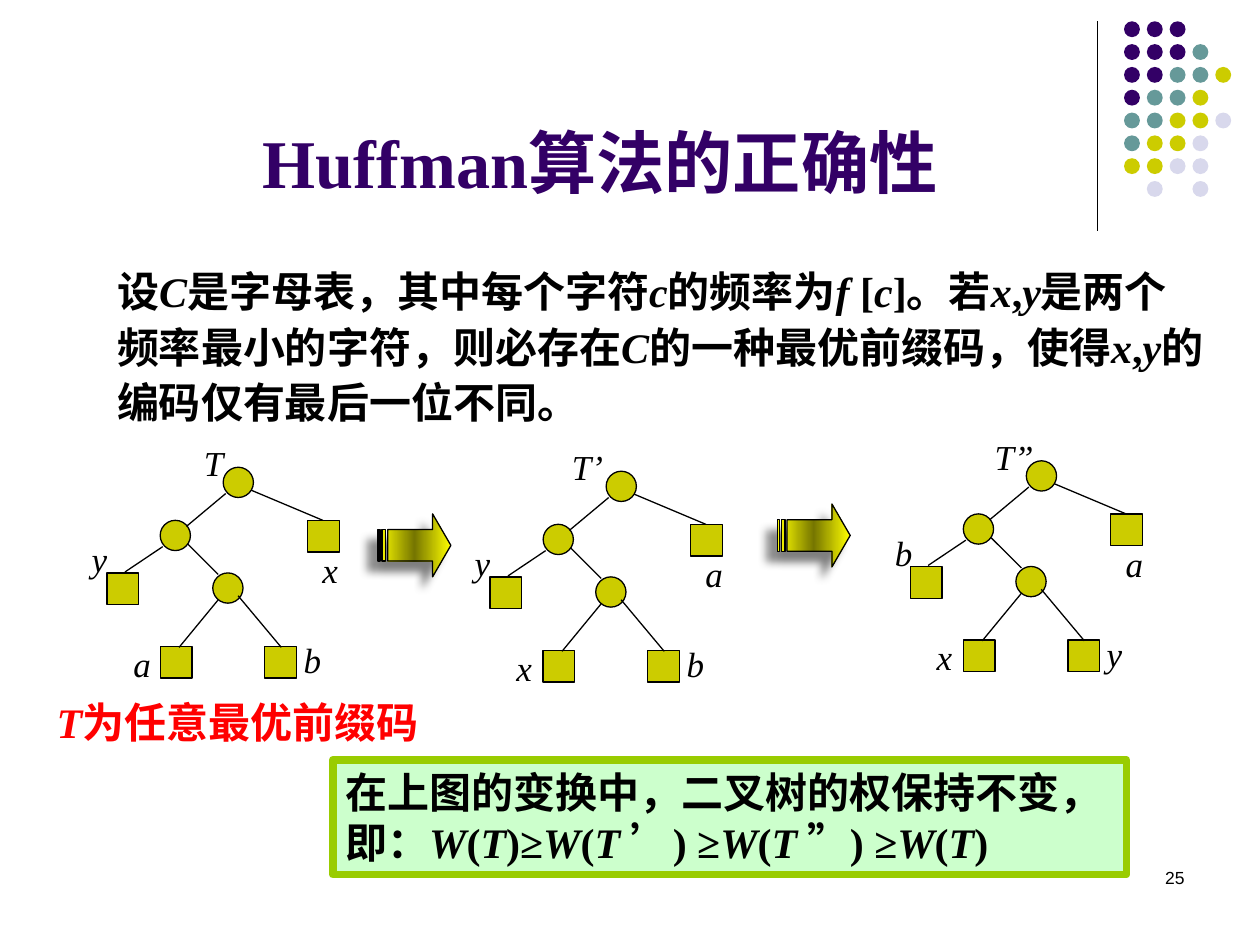
from lxml import etree
from pptx import Presentation
from pptx.dml.color import RGBColor
from pptx.enum.shapes import MSO_CONNECTOR, MSO_SHAPE
from pptx.enum.text import MSO_ANCHOR, PP_ALIGN
from pptx.oxml.ns import qn
from pptx.util import Cm, Pt

ELLIPSE, RECTANGLE = MSO_SHAPE.OVAL, MSO_SHAPE.RECTANGLE
STRIPED_ARROW = MSO_SHAPE.STRIPED_RIGHT_ARROW
STRAIGHT = MSO_CONNECTOR.STRAIGHT
TOP, BOTTOM = MSO_ANCHOR.TOP, MSO_ANCHOR.BOTTOM
LEFT, CENTER, RIGHT = PP_ALIGN.LEFT, PP_ALIGN.CENTER, PP_ALIGN.RIGHT
SERIF, SANS = "Times New Roman", "Arial"
BLACK, PURPLE, OLIVE, RED = "000000", "330066", "CCCC00", "FF0000"

# Asterisks switch italics on and off.
TITLE = "Huffman算法的正确性"
THEOREM = ("设*C*是字母表，其中每个字符*c*的频率为*f *[*c*]。若*x*,*y*是两个频率最小的字符，"
           "则必存在*C*的一种最优前缀码，使得*x*,*y*的编码仅有最后一位不同。")
CAPTION = "*T*为任意最优前缀码"
CONCLUSION = ("在上图的变换中，二叉树的权保持不变，即："
              "*W*(*T*)≥*W*(*T *’) ≥*W*(*T *”) ≥*W*(*T*)")

DOT_ROWS = ["PPP", "PPPT", "PPTTY", "PTTY", "TTYYL", "TYYL", "YYLL", " L L"]
DOT_COLOURS = {"P": PURPLE, "T": "669999", "Y": OLIVE, "L": "D8D8EC"}
DOT_LEFT, DOT_TOP, DOT_SIZE, DOT_PITCH = 22.66, 0.43, 0.32, 0.46

# Root position, name, name offset, leaf labels in the order of LABEL_OFFSETS.
TREES = [
    (4.5, 9.42, "T", -0.64, "yxab"),
    (12.22, 9.5, "T’", -0.94, "yaxb"),
    (20.69, 9.29, "T”", -0.89, "baxy"),
]
# Offsets from the root of a tree.
NODE_OFFSETS = [(0, 0), (-1.27, 1.07), (-0.21, 2.13)]
LEAF_OFFSETS = [(-2.34, 2.13), (1.7, 1.07), (-1.27, 3.61), (0.84, 3.61)]
LABEL_OFFSETS = [(-2.9, 1.3), (1.75, 1.52), (-2.06, 3.4), (1.37, 3.33)]
EDGES = [
    (0.05, 0.53, -0.74, 1.19), (0.56, 0.46, 2.01, 1.07),
    (-1.22, 1.6, -1.98, 2.11), (-0.71, 1.55, -0.1, 2.16),
    (-0.1, 2.67, -0.89, 3.63), (0.3, 2.59, 1.17, 3.63),
]
NODE_SIZE, LEAF_SIZE = 0.61, 0.64
ARROWS = [(7.62, 10.36), (15.67, 10.16)]
GRADIENT = [(0, "FFFF00"), (50000, "767600"), (100000, "FFFF00")]


def colour(value):
    """Turn a hex string into a colour."""
    return RGBColor.from_string(value)


def add_shape(kind, left, top, width, height, fill=OLIVE, line=BLACK, weight=0.75):
    """Add a preset shape without shadow; line may be None."""
    shape = slide.shapes.add_shape(kind, Cm(left), Cm(top), Cm(width), Cm(height))
    shape.shadow.inherit = False
    shape.fill.solid()
    shape.fill.fore_color.rgb = colour(fill)
    if line:
        shape.line.color.rgb = colour(line)
        shape.line.width = Pt(weight)
    else:
        shape.line.fill.background()
    return shape


def add_line(x1, y1, x2, y2):
    """Add a thin black straight line."""
    line = slide.shapes.add_connector(STRAIGHT, Cm(x1), Cm(y1), Cm(x2), Cm(y2))
    line.line.color.rgb = colour(BLACK)
    line.line.width = Pt(0.75)
    etree.SubElement(line._element.spPr, qn("a:effectLst"))


def write(shape, text, size, ink=BLACK, bold=False, font=SERIF,
          align=LEFT, anchor=TOP, spacing=1.0):
    """Write one paragraph, with italics between asterisks."""
    frame = shape.text_frame
    frame.word_wrap = True
    frame.vertical_anchor = anchor
    paragraph = frame.paragraphs[0]
    paragraph.alignment = align
    paragraph.line_spacing = spacing
    paragraph.font.name = font
    paragraph.font.size = Pt(size)
    paragraph.font.bold = bold
    paragraph.font.color.rgb = colour(ink)
    for index, part in enumerate(text.split("*")):
        if part:
            run = paragraph.add_run()
            run.text = part
            run.font.italic = index % 2 == 1


def add_text(left, top, width, height, text, size, **style):
    """Add a text box holding one paragraph."""
    box = slide.shapes.add_textbox(Cm(left), Cm(top), Cm(width), Cm(height))
    write(box, text, size, **style)


def add_colour_element(parent, value):
    """Append an RGB colour element to an XML parent."""
    etree.SubElement(parent, qn("a:srgbClr"), val=value)


def add_arrow(left, top):
    """Add a striped arrow with a gradient and a soft shadow."""
    arrow = add_shape(STRIPED_ARROW, left, top, 1.47, 1.27)
    arrow.adjustments[0], arrow.adjustments[1] = 0.5, 0.29
    arrow.fill.gradient()
    arrow.fill.gradient_angle = 0
    properties = arrow._element.spPr
    stops = properties.find(".//" + qn("a:gsLst"))
    for stop in list(stops):
        stops.remove(stop)
    for position, value in GRADIENT:
        add_colour_element(etree.SubElement(stops, qn("a:gs"), pos=str(position)), value)
    shadow = etree.SubElement(
        properties.find(qn("a:effectLst")), qn("a:outerShdw"),
        blurRad=str(Pt(5)), dist=str(Pt(8.5)), dir=str(135 * 60000),
        algn="ctr", rotWithShape="0")
    add_colour_element(shadow, "808080")


def add_tree(x, y, name, name_offset, labels):
    """Draw a code tree whose root has its corner at x, y."""
    for dx, dy in NODE_OFFSETS:
        add_shape(ELLIPSE, x + dx, y + dy, NODE_SIZE, NODE_SIZE)
    for dx, dy in LEAF_OFFSETS:
        add_shape(RECTANGLE, x + dx, y + dy, LEAF_SIZE, LEAF_SIZE)
    for x1, y1, x2, y2 in EDGES:
        add_line(x + x1, y + y1, x + x2, y + y2)
    add_text(x + name_offset, y - 0.64, 2.11, 1.09, f"*{name}*", 20)
    for (dx, dy), label in zip(LABEL_OFFSETS, labels):
        add_text(x + dx, y + dy, 1.07, 1.09, f"*{label}*", 20)


presentation = Presentation()
presentation.slide_width, presentation.slide_height = Cm(25.4), Cm(19.05)
slide = presentation.slides.add_slide(presentation.slide_layouts[6])

add_line(22.12, 0.43, 22.12, 4.65)
for row, dots in enumerate(DOT_ROWS):
    for column, dot in enumerate(dots):
        if dot in DOT_COLOURS:
            add_shape(ELLIPSE, DOT_LEFT + column * DOT_PITCH, DOT_TOP + row * DOT_PITCH,
                      DOT_SIZE, DOT_SIZE, DOT_COLOURS[dot], None)

add_text(1.9, 1.52, 20.4, 2.69, TITLE, 39, ink=PURPLE, bold=True,
         align=CENTER, anchor=BOTTOM)
add_text(2.11, 5.13, 22.43, 3.63, THEOREM, 24, bold=True, spacing=1.1)
for tree in TREES:
    add_tree(*tree)
for arrow_position in ARROWS:
    add_arrow(*arrow_position)
conclusion = add_shape(RECTANGLE, 6.71, 15.32, 16, 2.31, "CCFFCC", "99CC00", 4.5)
write(conclusion, CONCLUSION, 24, bold=True)
add_text(0.89, 13.92, 8.41, 1.3, CAPTION, 24, ink=RED, bold=True)
add_text(18.21, 17.35, 5.92, 1.27, "25", 10, font=SANS, align=RIGHT)

presentation.save("out.pptx")
